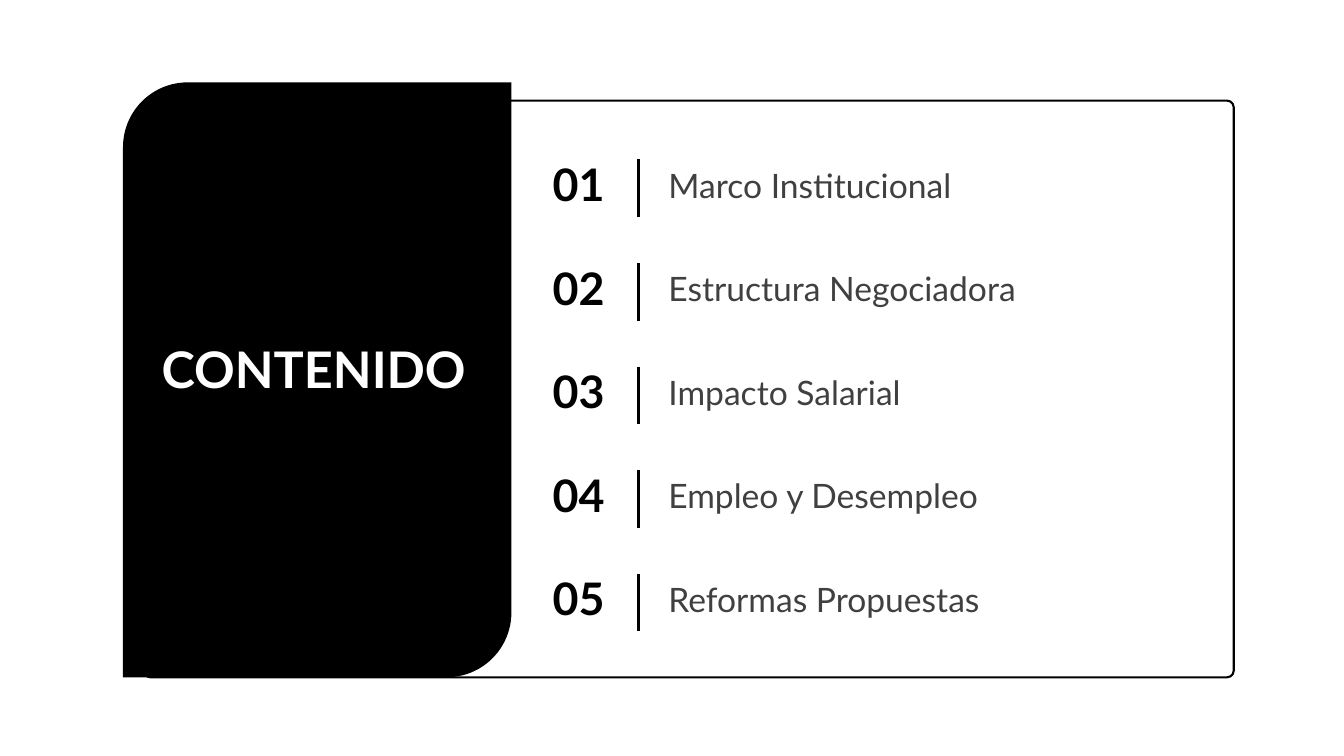
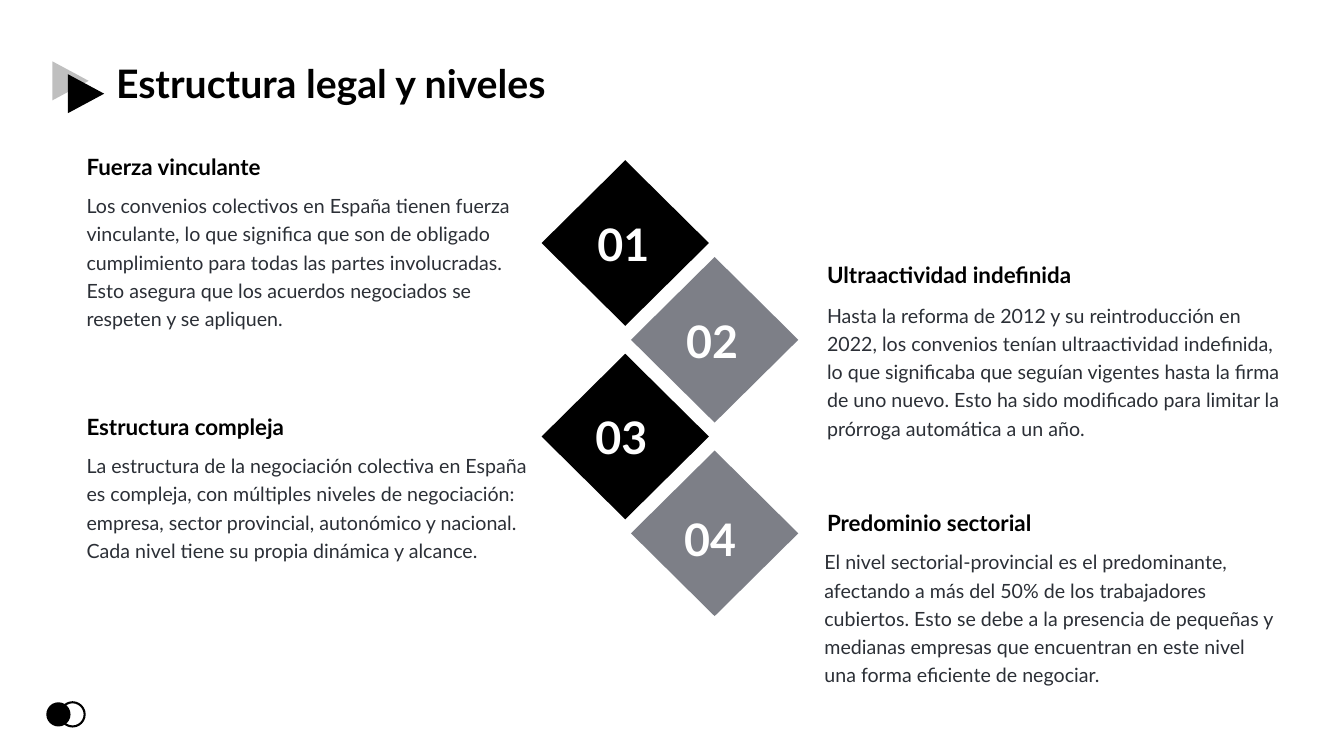
from lxml import etree
from pptx import Presentation
from pptx.dml.color import RGBColor
from pptx.enum.shapes import MSO_CONNECTOR, MSO_SHAPE
from pptx.enum.text import MSO_ANCHOR, PP_ALIGN
from pptx.oxml.ns import qn
from pptx.util import Inches, Pt

LEFT, MID = PP_ALIGN.LEFT, PP_ALIGN.CENTER
TOP = MSO_ANCHOR.TOP
ROUND, PANEL = MSO_SHAPE.ROUNDED_RECTANGLE, MSO_SHAPE.ROUND_2_DIAG_RECTANGLE
ARROW, GEM = MSO_SHAPE.ISOSCELES_TRIANGLE, MSO_SHAPE.DIAMOND
STRAIGHT = MSO_CONNECTOR.STRAIGHT

# Shared look; all lengths below are percentages of the slide
WIDE, HIGH = Inches(13.333), Inches(7.5)
FONT = "Lato"
BLACK, WHITE, GREY, PALE = "000000", "FFFFFF", "7D7F87", "BFBFBF"
LABEL, BODY = "404040", "2B2F36"

TOPICS = ["Marco Institucional", "Estructura Negociadora", "Impacto Salarial",
          "Empleo y Desempleo", "Reformas Propuestas"]

# Number place, heading place, body place, heading, body
LEVELS = [
    ((43.2, 27.3), (5.7, 19.6), (5.7, 24.4), "Fuerza vinculante",
     "Los convenios colectivos en España tienen fuerza vinculante, lo que "
     "significa que son de obligado cumplimiento para todas las partes "
     "involucradas. Esto asegura que los acuerdos negociados se respeten y "
     "se apliquen."),
    ((49.8, 40.1), (60.8, 33.9), (60.8, 38.9), "Ultraactividad indefinida",
     "Hasta la reforma de 2012 y su reintroducción en 2022, los convenios "
     "tenían ultraactividad indefinida, lo que significaba que seguían "
     "vigentes hasta la firma de uno nuevo. Esto ha sido modificado para "
     "limitar la prórroga automática a un año."),
    ((43.05, 52.9), (5.7, 54), (5.7, 58.8), "Estructura compleja",
     "La estructura de la negociación colectiva en España es compleja, con "
     "múltiples niveles de negociación: empresa, sector provincial, "
     "autonómico y nacional. Cada nivel tiene su propia dinámica y alcance."),
    ((49.65, 66.4), (60.8, 66.7), (60.6, 71.5), "Predominio sectorial",
     "El nivel sectorial-provincial es el predominante, afectando a más del "
     "50% de los trabajadores cubiertos. Esto se debe a la presencia de "
     "pequeñas y medianas empresas que encuentran en este nivel una forma "
     "eficiente de negociar."),
]


def color(code):
    return RGBColor.from_string(code)


def place(x, y):
    return round(WIDE * x / 100), round(HIGH * y / 100)


def shape(slide, kind, x, y, w, h, fill=None, line=None, adj=None, turn=0):
    item = slide.shapes.add_shape(kind, *place(x, y), *place(w, h))
    item.shadow.inherit = False
    item.rotation = turn
    if adj is not None:
        item.adjustments[0] = adj
    if fill:
        item.fill.solid()
        item.fill.fore_color.rgb = color(fill)
    else:
        item.fill.background()
    if line:
        item.line.color.rgb = color(line)
        item.line.width = Pt(1.5)
    else:
        item.line.fill.background()


def rule(slide, x, y, h):
    item = slide.shapes.add_connector(STRAIGHT, *place(x, y), *place(x, y + h))
    item.line.color.rgb = color(BLACK)
    item.line.width = Pt(2)
    etree.SubElement(item._element.spPr, qn("a:effectLst"))


def text(slide, words, x, y, w, h, size=14, ink=BLACK, bold=False,
         align=LEFT, space=1.0, inset=(0.1, 0.05, 0.1, 0.05)):
    frame = slide.shapes.add_textbox(*place(x, y), *place(w, h)).text_frame
    frame.word_wrap = True
    frame.vertical_anchor = TOP
    (frame.margin_left, frame.margin_top,
     frame.margin_right, frame.margin_bottom) = map(Inches, inset)
    para = frame.paragraphs[0]
    para.alignment = align
    para.line_spacing = space
    run = para.add_run()
    run.text = words
    run.font.name = FONT
    run.font.size = Pt(size)
    run.font.bold = bold
    run.font.color.rgb = color(ink)


def title(slide, words):
    for x, y, fill in ((3.8, 8.3, PALE), (4.95, 10, BLACK)):
        shape(slide, ARROW, x, y, 2.9, 4.8, fill=fill, turn=90)
    text(slide, words, 7.9, 7.2, 90, 7.6, size=28, bold=True)


def footer(slide):
    shape(slide, ROUND, 3.45, 92.9, 1.8, 3.2, fill=BLACK, adj=0.5)
    shape(slide, ROUND, 4.5, 92.9, 1.8, 3.2, line=BLACK, adj=0.5)


def agenda(slide):
    # Frame and title panel
    shape(slide, ROUND, 10.7, 13.3, 81.1, 76.3, line=BLACK, adj=0.012)
    shape(slide, PANEL, 9.15, 10.9, 28.9, 78.7, fill=BLACK)
    text(slide, "CONTENIDO ", 9.4, 44, 28.8, 8.3, size=36, ink=WHITE,
         bold=True, align=MID)
    # Numbered topics
    for row, topic in enumerate(TOPICS):
        y = 21.1 + 13.7 * row
        rule(slide, 47.5, y, 7.6)
        text(slide, f"{row + 1:02}", 39.5, y - 1, 7.1, 7.1, size=32,
             bold=True, align=MID)
        text(slide, topic, 49, y, 43.3, 5.3, size=24, ink=LABEL)


def levels(slide):
    footer(slide)
    title(slide, "Estructura legal y niveles")
    # Staggered diamonds with their texts
    for row, (num, top, low, head, body) in enumerate(LEVELS):
        side = row % 2
        shape(slide, GEM, 40.3 + 6.65 * side, 21.2 + 12.8 * row, 12.45, 21.9,
              fill=GREY if side else BLACK)
        text(slide, f"{row + 1:02}", *num, 6.75, 8.5, size=32, ink=WHITE,
             bold=True, align=MID, inset=(0.05, 0.1, 0.1, 0.05))
        text(slide, head, *top, 35.4, 4.9, size=16, bold=True)
        text(slide, body, *low, 35.4, 20.1, ink=BODY, space=1.2)


def main():
    deck = Presentation()
    deck.slide_width, deck.slide_height = WIDE, HIGH
    for build in (agenda, levels):
        build(deck.slides.add_slide(deck.slide_layouts[6]))
    deck.save("out.pptx")


if __name__ == "__main__":
    main()
